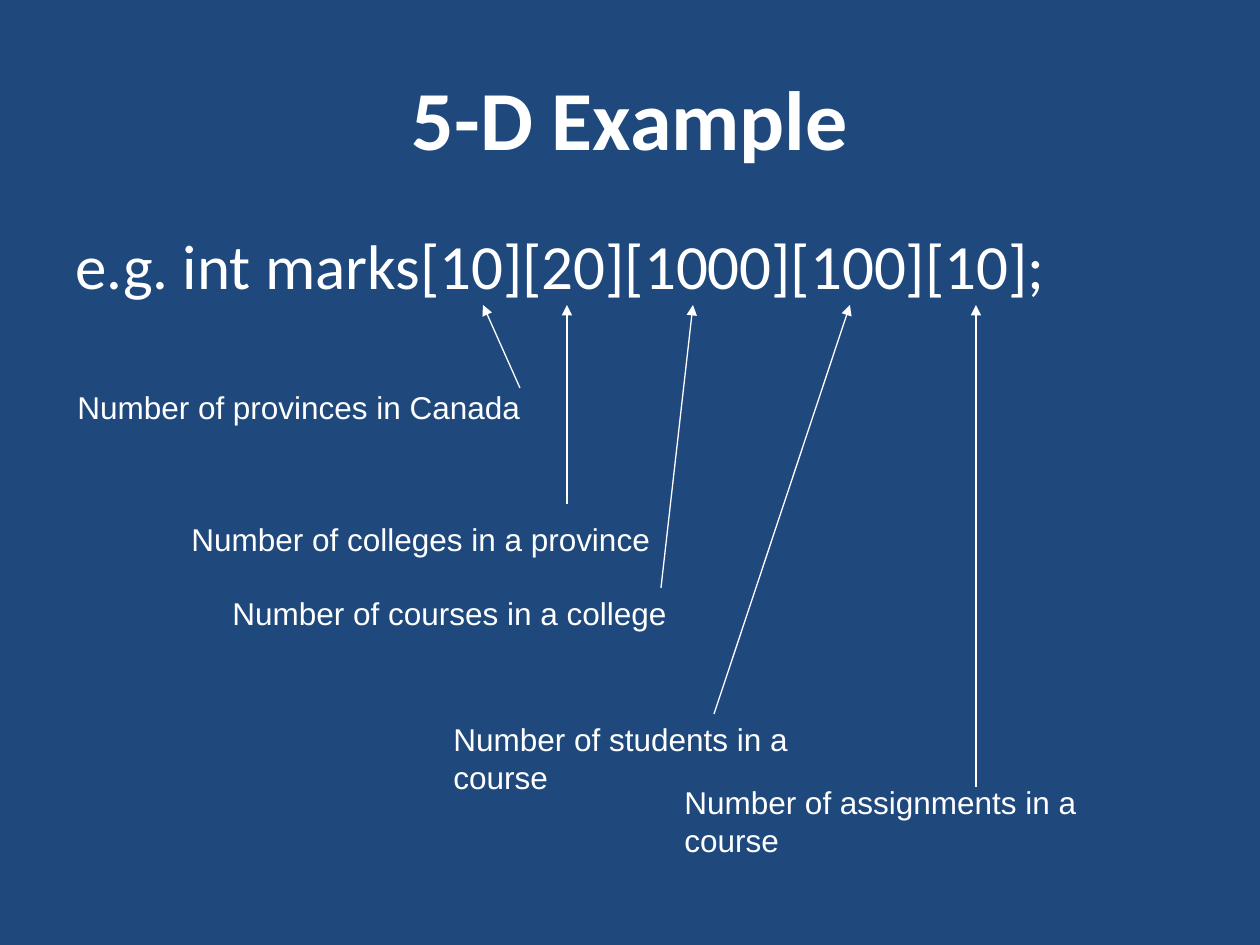
import pptx
import pptx.util
import pptx.dml.color
import pptx.enum.shapes
import pptx.enum.text
import pptx.oxml.ns
import lxml.etree

SCALE = 914400 // 126
WHITE, NAVY = "FFFFFF", "1F497D"
TITLE = "5-D Example"
CODE = "e.g. int marks[10][20][1000][100][10];"
TIP = 305  # height at which all arrows end
# label, its box (left, top, width), arrow start (x, y), arrow end x
NOTES = [
    ("Number of provinces in Canada", (65, 382, 469), (520, 388), 483),
    ("Number of colleges in a province", (179, 514, 484), (567, 504), 567),
    ("Number of courses in a college", (220, 588, 460), (661, 588), 693),
    ("Number of students in a course", (441, 714, 462), (714, 714), 850),
    ("Number of assignments in a course", (672, 777, 520), (976, 787), 976),
]


def px(n):
    """Turn pixels into EMU."""
    return pptx.util.Emu(n * SCALE)


def color(code):
    """Turn a hex string into a colour."""
    return pptx.dml.color.RGBColor.from_string(code)


def write(text, box, size, font="Calibri", bold=False, align="LEFT",
          anchor="TOP", wrap=True):
    """Add a text box with one formatted line."""
    frame = slide.shapes.add_textbox(*map(px, box)).text_frame
    frame.word_wrap = wrap
    frame.vertical_anchor = getattr(pptx.enum.text.MSO_ANCHOR, anchor)
    if not wrap:
        frame.auto_size = pptx.enum.text.MSO_AUTO_SIZE.SHAPE_TO_FIT_TEXT
    para = frame.paragraphs[0]
    para.alignment = getattr(pptx.enum.text.PP_ALIGN, align)
    run = para.add_run()
    run.text = text
    run.font.name, run.font.bold = font, bold
    run.font.size = pptx.util.Pt(size)
    run.font.color.rgb = color(WHITE)


def arrow(start, end):
    """Draw a thin white arrow from start to end."""
    line = slide.shapes.add_connector(
        pptx.enum.shapes.MSO_CONNECTOR.STRAIGHT, *map(px, start + end))
    line.line.color.rgb = color(WHITE)
    line.line.width = pptx.util.Pt(0.75)
    qn = pptx.oxml.ns.qn
    lxml.etree.SubElement(line.line._get_or_add_ln(), qn("a:tailEnd"),
                          type="triangle")
    lxml.etree.SubElement(line._element.spPr, qn("a:effectLst"))


deck = pptx.Presentation()
deck.slide_width, deck.slide_height = pptx.util.Inches(10), pptx.util.Inches(7.5)
slide = deck.slides.add_slide(deck.slide_layouts[6])
slide.background.fill.solid()
slide.background.fill.fore_color.rgb = color(NAVY)

write(TITLE, (63, 38, 1134, 157), 48, bold=True, align="CENTER", anchor="MIDDLE")
write(CODE, (63, 220, 1134, 624), 36)
for label, place, start, end in NOTES:
    write(label, place + (50,), 18, font="Arial", wrap=False)
    arrow(start, (end, TIP))

deck.save("out.pptx")
